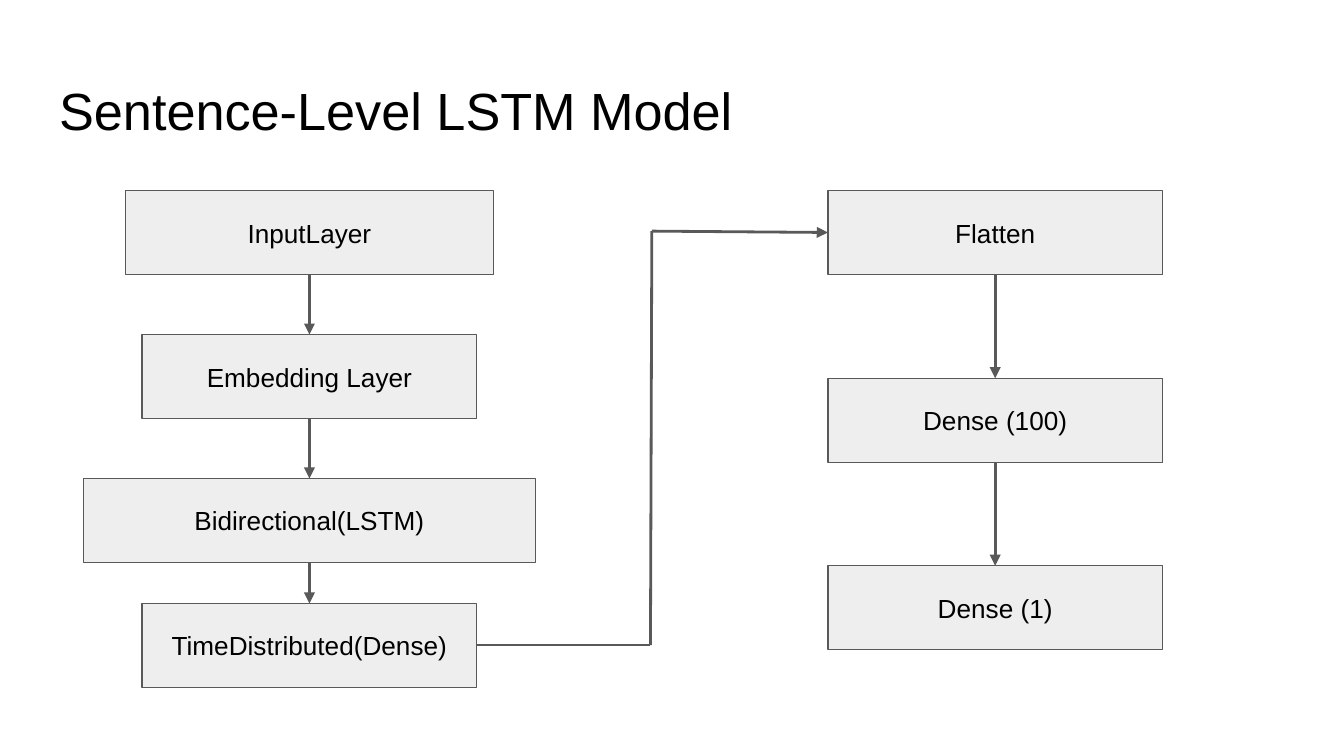
from lxml import etree
from pptx import Presentation
from pptx.dml.color import RGBColor
from pptx.enum import shapes, text
from pptx.oxml.ns import qn
from pptx.util import Pt

PX = 4572  # EMU per px, 200 px to the inch
FONT = "Arial"
COLORS = {"text": "000000", "fill": "EEEEEE", "line": "595959", "bg": "FFFFFF"}
LAYER_H = 125


def px(*values):
    return [round(v * PX) for v in values]


def rgb(name):
    return RGBColor.from_string(COLORS[name])


def set_text(sp, content, size, align, anchor):
    tf = sp.text_frame
    tf.text = content
    tf.word_wrap = True
    tf.auto_size = text.MSO_AUTO_SIZE.NONE
    tf.vertical_anchor = anchor
    tf.margin_left = tf.margin_right = tf.margin_top = tf.margin_bottom = px(20)[0]
    p = tf.paragraphs[0]
    p.alignment = align
    font = p.runs[0].font
    font.name, font.size = FONT, Pt(size)
    font.color.rgb = rgb("text")


def add_title(slide, box, content):
    sp = slide.shapes.title
    sp.left, sp.top, sp.width, sp.height = px(*box)
    set_text(sp, content, 28, text.PP_ALIGN.LEFT, text.MSO_ANCHOR.TOP)


def add_line(slide, start, end, arrow=True):
    line = slide.shapes.add_connector(
        shapes.MSO_CONNECTOR.STRAIGHT, *px(*start, *end))
    line.line.color.rgb = rgb("line")
    line.line.width = Pt(1.5)
    sp_pr = line._element.spPr
    if arrow:
        etree.SubElement(sp_pr.find(qn("a:ln")), qn("a:tailEnd"), type="triangle")
    etree.SubElement(sp_pr, qn("a:effectLst"))


def add_layer(slide, box, name):
    sp = slide.shapes.add_shape(shapes.MSO_SHAPE.RECTANGLE, *px(*box))
    sp.shadow.inherit = False
    sp.fill.solid()
    sp.fill.fore_color.rgb = rgb("fill")
    sp.line.color.rgb = rgb("line")
    sp.line.width = Pt(0.75)
    set_text(sp, name, 14, text.PP_ALIGN.CENTER, text.MSO_ANCHOR.MIDDLE)


def add_layer_column(slide, box, layers):
    """Stack layers of (name, offset, width), centred in the box and joined by arrows."""
    left, top, width = box
    center = left + width / 2
    for name, offset, layer_w in layers:
        add_layer(slide, (center - layer_w / 2, top + offset, layer_w, LAYER_H), name)
    for (_, above, _), (_, below, _) in zip(layers, layers[1:]):
        add_line(slide, (center, top + above + LAYER_H), (center, top + below))


def add_path(slide, points):
    """Join the points with lines, the last one ending in an arrowhead."""
    for a, b in zip(points, points[1:]):
        add_line(slide, a, b, arrow=b == points[-1])


def main():
    prs = Presentation()
    prs.slide_width, prs.slide_height = px(2000, 1125)
    slide = prs.slides.add_slide(prs.slide_layouts[5])
    slide.background.fill.solid()
    slide.background.fill.fore_color.rgb = rgb("bg")

    add_title(slide, (68, 97, 1864, 125), "Sentence-Level LSTM Model")

    # Sequence layers on the left
    add_layer_column(slide, (124, 284, 673), [
        ("InputLayer", 0, 548),
        ("Embedding Layer", 214, 498),
        ("Bidirectional(LSTM)", 428, 673),
        ("TimeDistributed(Dense)", 614, 498),
    ])

    # Output layers on the right
    add_layer_column(slide, (1232, 284, 498), [
        ("Flatten", 0, 498),
        ("Dense (100)", 279, 498),
        ("Dense (1)", 558, 498),
    ])

    # Link between the columns
    add_path(slide, [(709, 960), (968, 960), (970, 344), (1232, 346)])

    prs.save("out.pptx")


if __name__ == "__main__":
    main()
